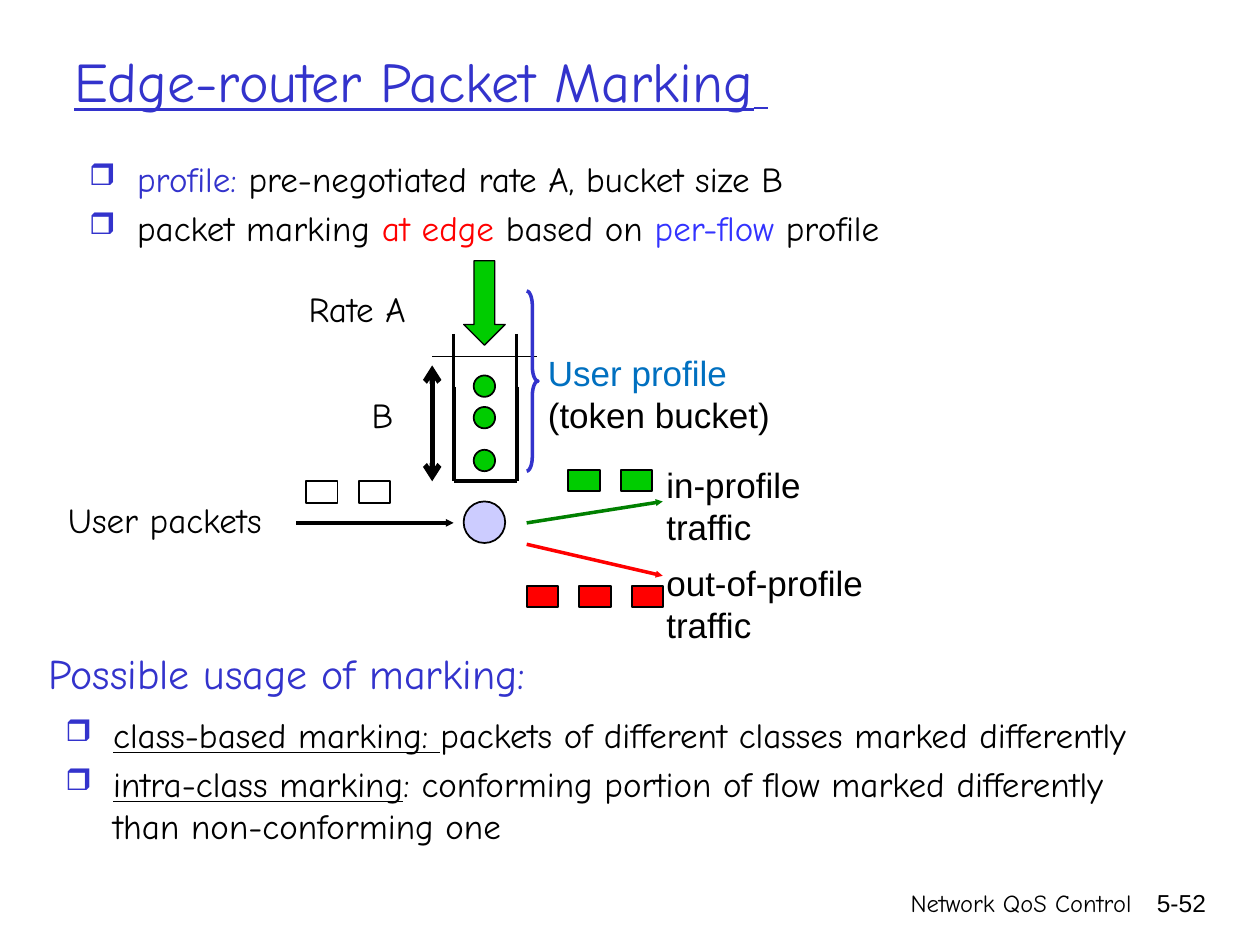
from lxml import etree
from pptx import Presentation
from pptx.dml.color import RGBColor
from pptx.enum.shapes import MSO_CONNECTOR, MSO_SHAPE
from pptx.enum.text import MSO_ANCHOR, PP_ALIGN
from pptx.oxml.ns import qn
from pptx.util import Inches, Pt

BLACK = RGBColor(0x00, 0x00, 0x00)
WHITE = RGBColor(0xFF, 0xFF, 0xFF)
INDIGO = RGBColor(0x33, 0x33, 0xCC)
BRIGHT_BLUE = RGBColor(0x33, 0x33, 0xFF)
SKY = RGBColor(0x00, 0x70, 0xC0)
RED = RGBColor(0xFF, 0x00, 0x00)
GREEN = RGBColor(0x00, 0xCC, 0x00)
DARK_GREEN = RGBColor(0x00, 0x80, 0x00)
LILAC = RGBColor(0xCC, 0xCC, 0xFF)

HAND, SANS = "Comic Neue", "Arial"
RECT, OVAL = MSO_SHAPE.RECTANGLE, MSO_SHAPE.OVAL
DOWN_ARROW, BRACE = MSO_SHAPE.DOWN_ARROW, MSO_SHAPE.RIGHT_BRACE
STRAIGHT = MSO_CONNECTOR.STRAIGHT
LEFT, RIGHT = PP_ALIGN.LEFT, PP_ALIGN.RIGHT
TOP, MIDDLE = MSO_ANCHOR.TOP, MSO_ANCHOR.MIDDLE


def add_bullet(p):
    pPr = p._p.get_or_add_pPr()
    pPr.set("marL", str(Inches(0.38)))
    pPr.set("indent", str(-Inches(0.38)))
    color = etree.SubElement(pPr, qn("a:buClr"))
    etree.SubElement(color, qn("a:srgbClr"), val=str(INDIGO))
    etree.SubElement(pPr, qn("a:buSzPct"), val="85000")
    etree.SubElement(pPr, qn("a:buChar"), char="❒")


def add_text(slide, box, paragraphs, size=20, font=HAND, align=LEFT,
             anchor=TOP, wrap=True, bullets=False):
    """Each paragraph is a list of runs: (text, color[, underline[, size]])."""
    tf = slide.shapes.add_textbox(*map(Inches, box)).text_frame
    tf.word_wrap = wrap
    tf.vertical_anchor = anchor
    for i, runs in enumerate(paragraphs):
        p = tf.add_paragraph() if i else tf.paragraphs[0]
        p.alignment = align
        if bullets:
            if i:
                p.space_before = Pt(4)
            add_bullet(p)
        for text, color, *style in runs:
            r = p.add_run()
            r.text = text
            r.font.name = font
            r.font.color.rgb = color
            r.font.underline = bool(style and style[0])
            r.font.size = Pt(style[1] if len(style) > 1 else size)


def add_figure(slide, kind, box, fill=None, line=BLACK, width=1):
    sp = slide.shapes.add_shape(kind, *map(Inches, box))
    sp.shadow.inherit = False
    if fill is None:
        sp.fill.background()
    else:
        sp.fill.solid()
        sp.fill.fore_color.rgb = fill
    sp.line.color.rgb = line
    sp.line.width = Pt(width)
    return sp


def add_packets(slide, left, top, count, fill):
    for i in range(count):
        add_figure(slide, RECT, (left + i * 0.417, top, 0.25, 0.17), fill)


def add_line(slide, start, end, width, color=BLACK, head=None, tail=None, size="sm"):
    c = slide.shapes.add_connector(STRAIGHT, *map(Inches, start + end))
    c.line.color.rgb = color
    c.line.width = Pt(width)
    ln = c.line._ln
    for tag, kind in (("a:headEnd", head), ("a:tailEnd", tail)):
        if kind:
            etree.SubElement(ln, qn(tag), type=kind, w=size, len=size)
    etree.SubElement(c._element.spPr, qn("a:effectLst"))


def add_bucket(slide):
    left, right, bottom, middle, rim = 3.6, 4.1, 3.82, 3.07, 2.65
    add_line(slide, (left, bottom), (right, bottom), 2.25)
    for x in (left, right):
        add_line(slide, (x, middle), (x, bottom), 2.25)
        add_line(slide, (x, rim), (x, middle), 2)
    # Tokens, fill level and incoming rate
    for y in (2.98, 3.23, 3.57):
        add_figure(slide, OVAL, (3.76, y, 0.17, 0.17), GREEN)
    add_line(slide, (3.43, 2.83), (4.26, 2.83), 0.75)
    add_figure(slide, DOWN_ARROW, (3.68, 2.07, 0.33, 0.67), GREEN, width=0.75)
    # Bucket size
    add_line(slide, (3.43, 2.9), (3.43, bottom), 3,
             head="arrow", tail="arrow", size="med")
    add_text(slide, (2.35, 2.23, 1.25, 0.43), [[("Rate A", BLACK)]])
    add_text(slide, (2.85, 3.07, 0.38, 0.43), [[("B", BLACK)]])
    # Brace and its label
    brace = add_figure(slide, BRACE, (4.18, 2.31, 0.09, 1.43), line=INDIGO, width=2)
    brace.adjustments[0] = 1.3
    add_text(slide, (4.25, 2.74, 1.97, 0.77),
             [[("User profile", SKY)], [("(token bucket)", BLACK)]],
             font=SANS, wrap=False)


def add_traffic(slide):
    # Incoming packets and the marker
    add_text(slide, (0.44, 3.91, 2.33, 0.43), [[("User packets", BLACK)]])
    add_packets(slide, 2.43, 3.82, 2, WHITE)
    add_line(slide, (2.35, 4.15), (3.6, 4.15), 2.25, tail="triangle")
    add_figure(slide, OVAL, (3.68, 3.98, 0.33, 0.33), LILAC)
    # Marked packets
    add_packets(slide, 4.51, 3.73, 2, GREEN)
    add_packets(slide, 4.18, 4.65, 3, RED)
    add_line(slide, (4.18, 4.15), (5.26, 3.98), 2, DARK_GREEN, tail="triangle")
    add_line(slide, (4.18, 4.32), (5.26, 4.57), 2, RED, tail="triangle")
    for text, top, width in (("in-profile traffic", 3.63, 1.9),
                             ("out-of-profile traffic", 4.41, 2.4)):
        add_text(slide, (5.19, top, width, 0.43), [[(text, BLACK)]], font=SANS)


def main():
    prs = Presentation()
    prs.slide_width, prs.slide_height = Inches(10), Inches(7.5)
    slide = prs.slides.add_slide(prs.slide_layouts[6])

    # Title and profile bullets
    add_text(slide, (0.49, 0.26, 8.5, 0.75),
             [[("Edge-router Packet Marking", INDIGO, True),
               (" ", INDIGO, True, 24)]], size=32, anchor=MIDDLE)
    add_text(slide, (0.61, 1.2, 8.75, 1),
             [[("profile: ", INDIGO), ("pre-negotiated rate A, bucket size B", BLACK)],
              [("packet marking ", BLACK), ("at edge ", RED), ("based on ", BLACK),
               ("per-flow", BRIGHT_BLUE), (" profile", BLACK)]], bullets=True)

    # Token bucket diagram
    add_bucket(slide)
    add_traffic(slide)

    # Usage of marking
    add_text(slide, (0.29, 5.09, 4.92, 0.5),
             [[("Possible usage of marking:", INDIGO)]], size=24)
    add_text(slide, (0.42, 5.61, 9, 2),
             [[("class-based marking: ", BLACK, True),
               ("packets of different classes marked differently", BLACK)],
              [("intra-class marking", BLACK, True),
               (": conforming portion of flow marked differently "
                "than non-conforming one", BLACK)]], bullets=True)

    # Footer
    add_text(slide, (4.86, 7, 4.22, 0.5), [[("Network QoS Control", BLACK)]],
             size=14, align=RIGHT)
    add_text(slide, (8.93, 7, 0.74, 0.5), [[("5-52", BLACK)]],
             size=14, font=SANS, align=RIGHT)

    prs.save("out.pptx")


if __name__ == "__main__":
    main()
